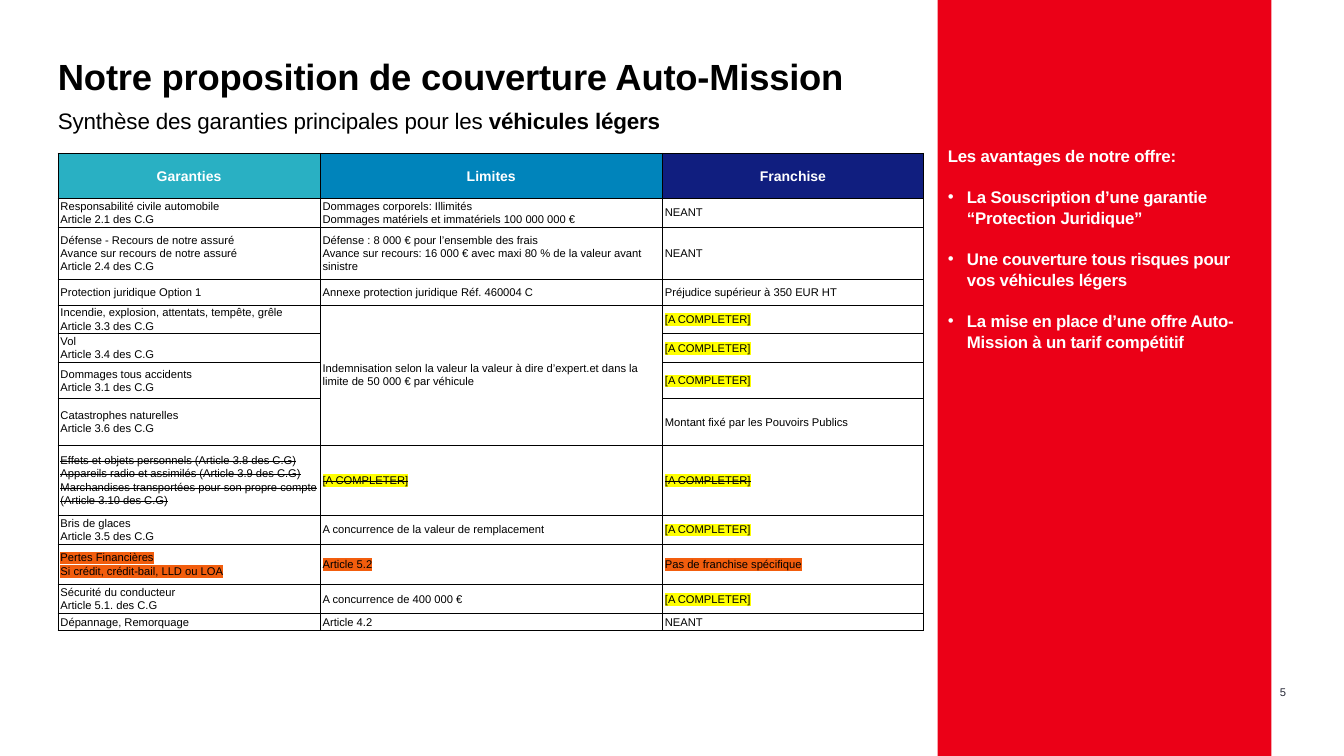
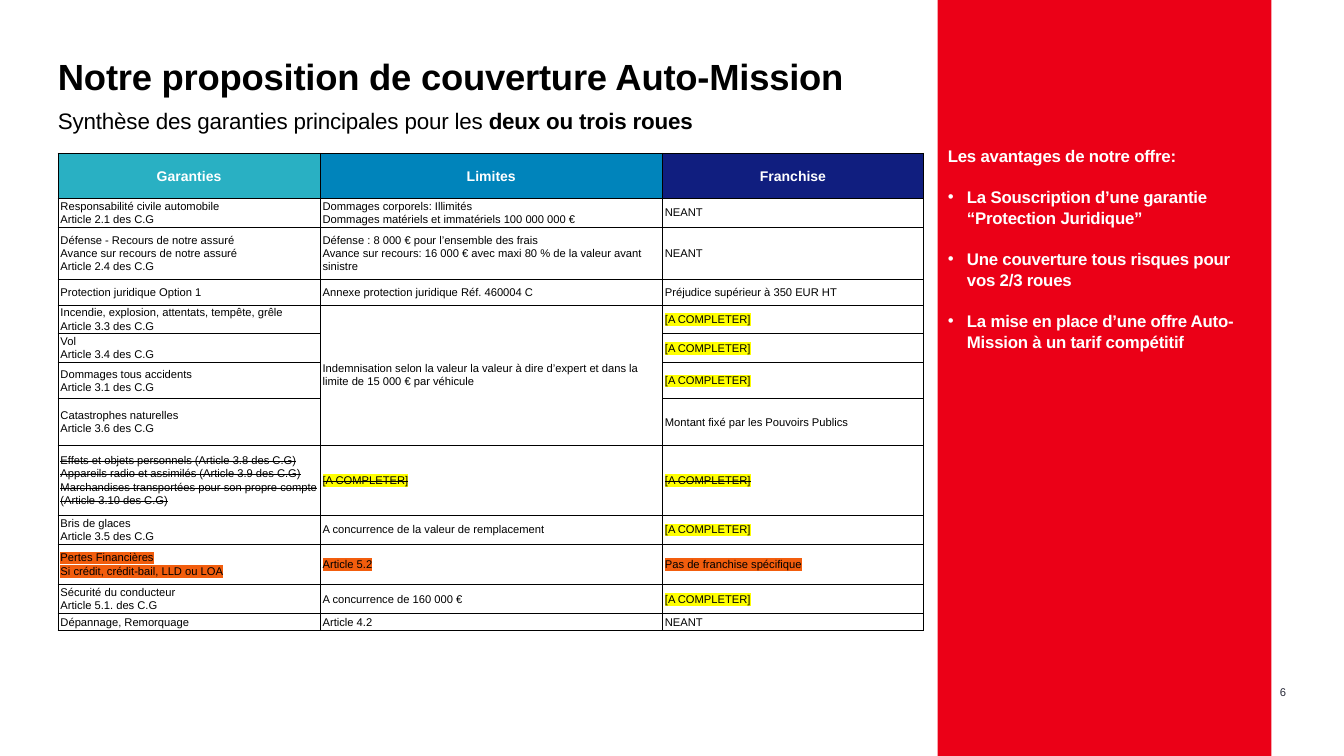
from dataclasses import dataclass

from lxml import etree
from pptx import Presentation
from pptx.dml.color import RGBColor
from pptx.enum.shapes import MSO_SHAPE
from pptx.enum.text import MSO_ANCHOR, PP_ALIGN
from pptx.oxml.ns import qn
from pptx.slide import Slide
from pptx.util import Pt

RECTANGLE = MSO_SHAPE.RECTANGLE
TOP, MIDDLE, BOTTOM = MSO_ANCHOR.TOP, MSO_ANCHOR.MIDDLE, MSO_ANCHOR.BOTTOM
LEFT, CENTER, RIGHT = PP_ALIGN.LEFT, PP_ALIGN.CENTER, PP_ALIGN.RIGHT

BLACK = RGBColor(0x00, 0x00, 0x00)
WHITE = RGBColor(0xFF, 0xFF, 0xFF)
SLATE = RGBColor(0x26, 0x28, 0x36)
RED = RGBColor(0xEB, 0x00, 0x17)
TEAL = RGBColor(0x29, 0xB0, 0xC3)
BLUE = RGBColor(0x00, 0x84, 0xBB)
NAVY = RGBColor(0x10, 0x1E, 0x7F)
YELLOW = RGBColor(0xFF, 0xFF, 0x00)
ORANGE = RGBColor(0xF2, 0x5D, 0x0D)

FONT = "Arial"
PAGE_WIDTH, PAGE_HEIGHT = 1919.52, 1080
MARGIN, CONTENT_WIDTH = 82.8, 1236.24
BAND_LEFT, BAND_WIDTH = 1339.2, 476.64
TABLE_TOP, TABLE_HEIGHT = 218.88, 680.4
COLUMN_WIDTHS = (374.4, 488.88, 372.96)
HEADER_HEIGHT, SHORT_ROW = 64.08, 24.48
BULLET_INDENT = 27.36
BULLET_LINE, BULLET_GAP = 1.04, 28.7
CELL_LINE = 1.07
TIGHT = -30

TITLE = "Notre proposition de couverture Auto-Mission"
SUBTITLE = "Synthèse des garanties principales pour les "
ADVANTAGES = "Les avantages de notre offre:"
TO_COMPLETE = "[A COMPLETER]"


@dataclass(frozen=True)
class Style:
    size: float
    color: RGBColor = BLACK
    bold: bool = False
    spacing: int = 0
    highlight: RGBColor | None = None
    strike: bool = False


@dataclass(frozen=True)
class Area:
    left: float
    top: float
    width: float
    height: float
    anchor: MSO_ANCHOR = TOP
    inset: float = 0


@dataclass(frozen=True)
class Header:
    label: str
    fill: RGBColor


@dataclass(frozen=True)
class Cover:
    height: float
    guarantee: tuple[str, ...]
    limit: tuple[str, ...]
    deductible: str
    highlight: RGBColor | None = None
    strike: bool = False
    limit_rows: int = 1


@dataclass(frozen=True)
class Offer:
    number: int
    vehicles: str
    compensation: str
    driver_limit: str
    full_cover: str


TITLE_AREA = Area(MARGIN, 75.6, CONTENT_WIDTH, 64.8, BOTTOM)
SUBTITLE_AREA = Area(MARGIN, 139.68, CONTENT_WIDTH, 64.8, MIDDLE)
NUMBER_AREA = Area(1776.24, 941.04, 60.48, 57.6, BOTTOM)
ADVANTAGES_AREA = Area(BAND_LEFT, 192.96, BAND_WIDTH, 772.56, TOP, 14.4)

TITLE_STYLE = Style(52, bold=True, spacing=TIGHT)
SUBTITLE_STYLE = Style(32, spacing=TIGHT)
VEHICLES_STYLE = Style(32, bold=True, spacing=TIGHT)
NUMBER_STYLE = Style(16, SLATE)
ADVANTAGES_STYLE = Style(24, WHITE, bold=True, spacing=TIGHT)
HEADER_STYLE = Style(20, WHITE, bold=True)

HEADERS = (Header("Garanties", TEAL), Header("Limites", BLUE), Header("Franchise", NAVY))

OFFERS = (
    Offer(
        5,
        "véhicules légers",
        "Indemnisation selon la valeur la valeur à dire d’expert.et dans la limite de 50 000 € par véhicule",
        "A concurrence de 400 000 €",
        "Une couverture tous risques pour vos véhicules légers",
    ),
    Offer(
        6,
        "deux ou trois roues",
        "Indemnisation selon la valeur la valeur à dire d’expert et dans la limite de 15 000 € par véhicule",
        "A concurrence de 160 000 €",
        "Une couverture tous risques pour vos 2/3 roues",
    ),
)


def list_covers(offer: Offer) -> tuple[Cover, ...]:
    return (
        Cover(SHORT_ROW, ("Responsabilité civile automobile", "Article 2.1 des C.G"),
              ("Dommages corporels: Illimités", "Dommages matériels et immatériels 100 000 000 €"), "NEANT"),
        Cover(75.6, ("Défense - Recours de notre assuré", "Avance sur recours de notre assuré", "Article 2.4 des C.G"),
              ("Défense : 8 000 € pour l’ensemble des frais",
               "Avance sur recours: 16 000 € avec maxi 80 % de la valeur avant sinistre"), "NEANT"),
        Cover(36, ("Protection juridique Option 1",),
              ("Annexe protection juridique Réf. 460004 C",), "Préjudice supérieur à 350 EUR HT"),
        Cover(SHORT_ROW, ("Incendie, explosion, attentats, tempête, grêle", "Article 3.3 des C.G"),
              (offer.compensation,), TO_COMPLETE, limit_rows=4),
        Cover(SHORT_ROW, ("Vol", "Article 3.4 des C.G"), (), TO_COMPLETE),
        Cover(51.84, ("Dommages tous accidents", "Article 3.1 des C.G"), (), TO_COMPLETE),
        Cover(66.24, ("Catastrophes naturelles", "Article 3.6 des C.G"), (), "Montant fixé par les Pouvoirs Publics"),
        Cover(100.08, ("Effets et objets personnels (Article 3.8 des C.G)",
                       "Appareils radio et assimilés (Article 3.9 des C.G)",
                       "Marchandises transportées pour son propre compte (Article 3.10 des C.G)"),
              (TO_COMPLETE,), TO_COMPLETE, strike=True),
        Cover(SHORT_ROW, ("Bris de glaces", "Article 3.5 des C.G"),
              ("A concurrence de la valeur de remplacement",), TO_COMPLETE),
        Cover(58.32, ("Pertes Financières", "Si crédit, crédit-bail, LLD ou LOA"),
              ("Article 5.2",), "Pas de franchise spécifique", highlight=ORANGE),
        Cover(SHORT_ROW, ("Sécurité du conducteur", "Article 5.1. des C.G"), (offer.driver_limit,), TO_COMPLETE),
        Cover(SHORT_ROW, ("Dépannage, Remorquage",), ("Article 4.2",), "NEANT"),
    )


def add_span(para, text: str, style: Style) -> None:
    span = para.add_run()
    span.text = text
    font = span.font
    font.size = Pt(style.size)
    font.bold = style.bold
    font.color.rgb = style.color
    font.name = FONT
    properties = span._r.get_or_add_rPr()
    if style.spacing:
        properties.set("spc", str(style.spacing))
    if style.strike:
        properties.set("strike", "sngStrike")
    if style.highlight is not None:
        highlight = etree.Element(qn("a:highlight"))
        etree.SubElement(highlight, qn("a:srgbClr"), val=str(style.highlight))
        properties.find(qn("a:solidFill")).addnext(highlight)


def add_text_box(page: Slide, area: Area):
    box = page.shapes.add_textbox(Pt(area.left), Pt(area.top), Pt(area.width), Pt(area.height))
    frame = box.text_frame
    frame.word_wrap = True
    frame.vertical_anchor = area.anchor
    frame.margin_left = frame.margin_right = Pt(area.inset)
    frame.margin_top = frame.margin_bottom = Pt(area.inset)
    return frame


def add_heading(page: Slide, offer: Offer) -> None:
    add_span(add_text_box(page, TITLE_AREA).paragraphs[0], TITLE, TITLE_STYLE)
    para = add_text_box(page, SUBTITLE_AREA).paragraphs[0]
    add_span(para, SUBTITLE, SUBTITLE_STYLE)
    add_span(para, offer.vehicles, VEHICLES_STYLE)


def add_page_number(page: Slide, number: int) -> None:
    para = add_text_box(page, NUMBER_AREA).paragraphs[0]
    para.alignment = RIGHT
    para.space_after = Pt(6)
    add_span(para, str(number), NUMBER_STYLE)


def add_band(page: Slide) -> None:
    band = page.shapes.add_shape(RECTANGLE, Pt(BAND_LEFT), Pt(0), Pt(BAND_WIDTH), Pt(PAGE_HEIGHT))
    band.shadow.inherit = False
    band.fill.solid()
    band.fill.fore_color.rgb = RED
    band.line.fill.background()


def add_advantages(page: Slide, offer: Offer) -> None:
    frame = add_text_box(page, ADVANTAGES_AREA)
    para = frame.paragraphs[0]
    para.line_spacing = BULLET_LINE
    add_span(para, ADVANTAGES, ADVANTAGES_STYLE)
    for advantage in (
        "La Souscription d’une garantie “Protection Juridique”",
        offer.full_cover,
        "La mise en place d’une offre Auto-Mission à un tarif compétitif",
    ):
        para = frame.add_paragraph()
        properties = para._p.get_or_add_pPr()
        properties.set("marL", str(Pt(BULLET_INDENT)))
        properties.set("indent", str(-Pt(BULLET_INDENT)))
        etree.SubElement(properties, qn("a:buFont"), typeface=FONT)
        etree.SubElement(properties, qn("a:buChar"), char="•")
        para.line_spacing = BULLET_LINE
        para.space_before = Pt(BULLET_GAP)
        add_span(para, advantage, ADVANTAGES_STYLE)


def format_cell(cell) -> None:
    cell.vertical_anchor = MIDDLE
    cell.margin_left = cell.margin_right = Pt(3.6)
    cell.margin_top = cell.margin_bottom = Pt(0)
    properties = cell._tc.get_or_add_tcPr()
    for side in ("a:lnL", "a:lnR", "a:lnT", "a:lnB"):
        border = etree.SubElement(properties, qn(side), w=str(Pt(1)))
        fill = etree.SubElement(border, qn("a:solidFill"))
        etree.SubElement(fill, qn("a:srgbClr"), val=str(BLACK))
    cell.fill.background()


def fill_cell(cell, lines: tuple[str, ...], style: Style, alignment: PP_ALIGN = LEFT) -> None:
    frame = cell.text_frame
    for index, line in enumerate(lines):
        para = frame.add_paragraph() if index else frame.paragraphs[0]
        para.alignment = alignment
        para.line_spacing = CELL_LINE
        add_span(para, line, style)


def add_cover_table(page: Slide, offer: Offer) -> None:
    covers = list_covers(offer)
    graphic = page.shapes.add_table(
        len(covers) + 1, len(HEADERS), Pt(MARGIN), Pt(TABLE_TOP), Pt(CONTENT_WIDTH), Pt(TABLE_HEIGHT)
    )
    table = graphic.table
    table.first_row = table.horz_banding = False
    for column, width in zip(table.columns, COLUMN_WIDTHS):
        column.width = Pt(width)
    for row, height in zip(table.rows, (HEADER_HEIGHT, *(cover.height for cover in covers))):
        row.height = Pt(height)
    graphic.height = Pt(TABLE_HEIGHT)
    for cell in table.iter_cells():
        format_cell(cell)

    for column, header in enumerate(HEADERS):
        cell = table.cell(0, column)
        cell.fill.solid()
        cell.fill.fore_color.rgb = header.fill
        fill_cell(cell, (header.label,), HEADER_STYLE, CENTER)

    for row, cover in enumerate(covers, start=1):
        if cover.limit_rows > 1:
            table.cell(row, 1).merge(table.cell(row + cover.limit_rows - 1, 1))
        for column, lines in enumerate((cover.guarantee, cover.limit, (cover.deductible,))):
            highlight = YELLOW if lines == (TO_COMPLETE,) else cover.highlight
            fill_cell(table.cell(row, column), lines, Style(16, highlight=highlight, strike=cover.strike))


def main() -> None:
    deck = Presentation()
    deck.slide_width, deck.slide_height = Pt(PAGE_WIDTH), Pt(PAGE_HEIGHT)
    for offer in OFFERS:
        page = deck.slides.add_slide(deck.slide_layouts[6])
        add_band(page)
        add_heading(page, offer)
        add_page_number(page, offer.number)
        add_cover_table(page, offer)
        add_advantages(page, offer)
    deck.save("out.pptx")


if __name__ == "__main__":
    main()
